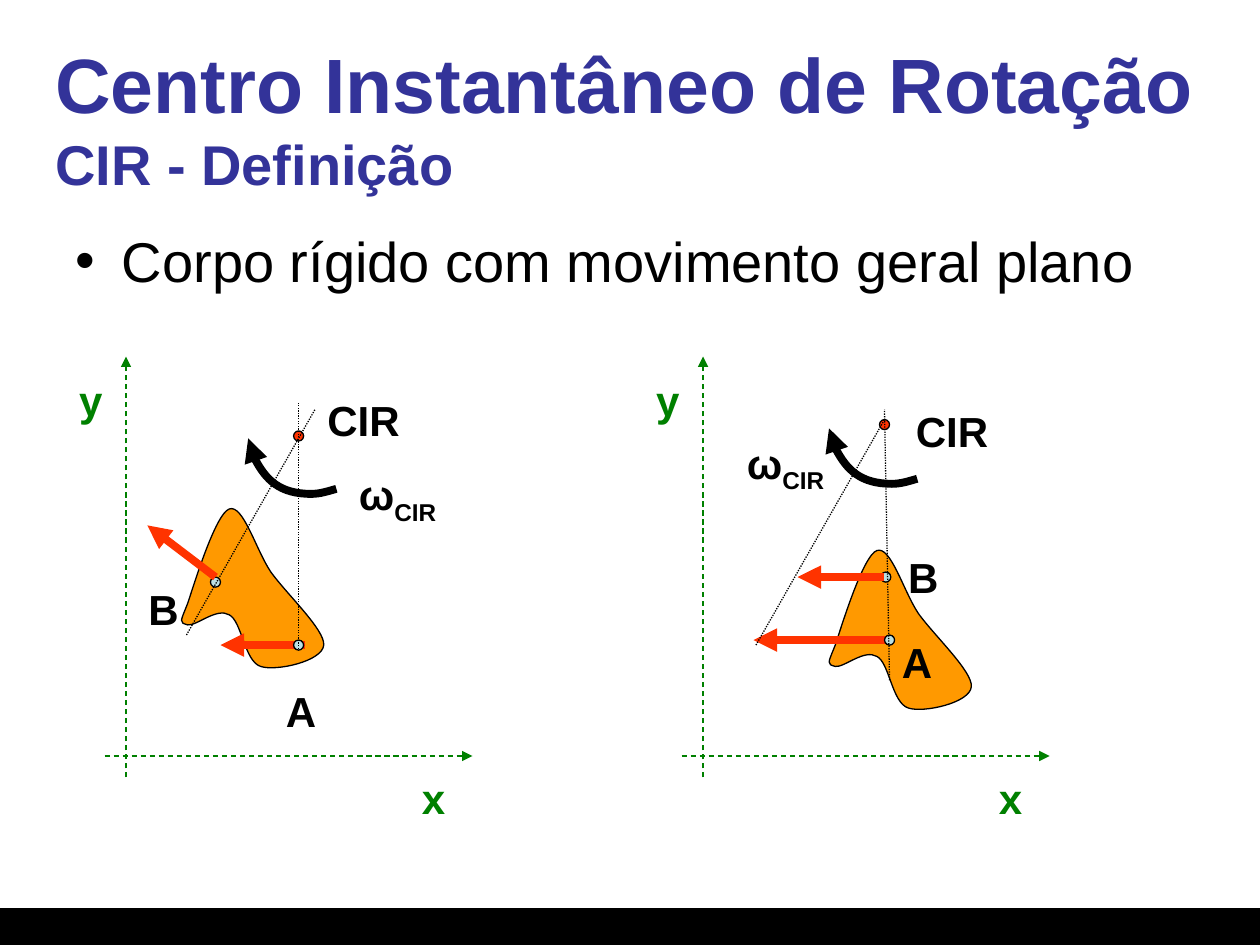
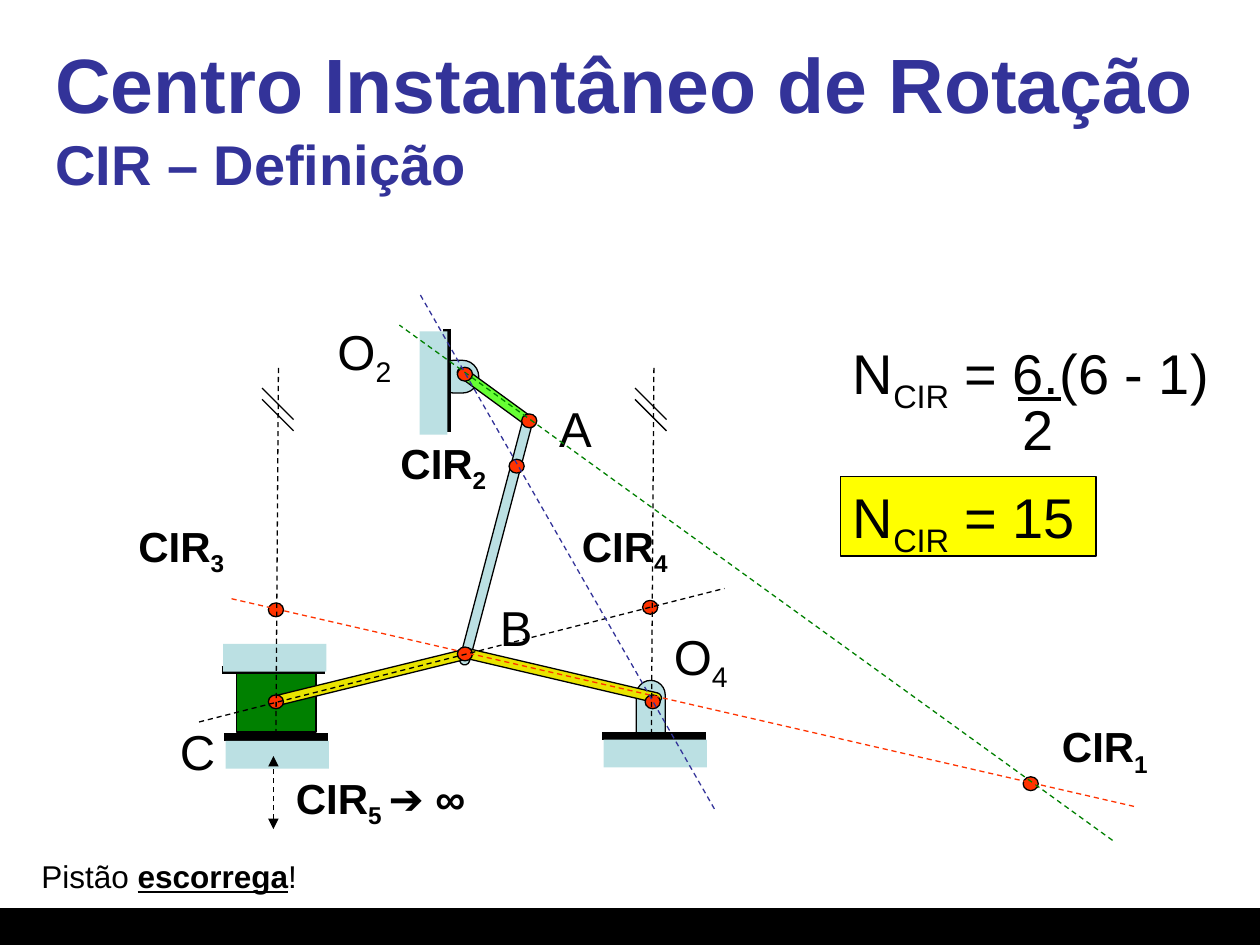
"""Builds two slides on the instantaneous centre of rotation."""
from lxml import etree
from pptx import Presentation, util as u
from pptx.dml.color import RGBColor
from pptx.enum import dml, shapes, text
from pptx.oxml.ns import qn

BLACK, WHITE, NAVY, GREEN = "000000", "FFFFFF", "333399", "008000"
RED, ORANGE, YELLOW = "FF3300", "FF9900", "FFFF00"
STEEL, LIME, GOLD = "BBE0E3", "66FF33", "E9E400"
DASH, DOTS = dml.MSO_LINE.DASH, dml.MSO_LINE.ROUND_DOT
RECT, PILL, OVAL = (shapes.MSO_SHAPE.RECTANGLE, shapes.MSO_SHAPE.ROUNDED_RECTANGLE,
                    shapes.MSO_SHAPE.OVAL)
COLUMNS, ROWS = 10, 7.5

BODY = [(1.49, 4.79), (1.54, 4.64), (1.71, 4.08), (1.82, 4.04), (1.93, 4), (2.03, 4.36),
        (2.15, 4.54), (2.28, 4.72), (2.58, 5), (2.57, 5.12), (2.56, 5.25), (2.19, 5.33),
        (2.07, 5.29), (1.94, 5.25), (1.92, 4.93), (1.82, 4.88), (1.72, 4.82), (1.56, 4.97),
        (1.49, 4.96), (1.42, 4.94), (1.43, 4.94), (1.49, 4.79)]
TURN = [(2.67, 3.88), (2.6, 3.9), (2.54, 3.92), (2.47, 3.92), (2.22, 3.92), (2.01, 3.73),
        (1.97, 3.48)]


def color(value):
    return RGBColor.from_string(value)


def set_all(target, formats):
    for name, value in formats.items():
        setattr(target, name, value)


def bend(shape):
    """Turn each three line segments of a freeform into one cubic curve."""
    for index, segment in enumerate(list(shape._element.iter(qn("a:lnTo")))):
        if index % 3 == 0:
            cubic = etree.Element(qn("a:cubicBezTo"))
            segment.addprevious(cubic)
        cubic.append(segment[0])
        segment.getparent().remove(segment)


class Board:
    """Holds the deck, its style and the current page."""

    def __init__(self):
        self.deck = Presentation()
        set_all(self.deck, {"slide_width": u.Inches(10), "slide_height": u.Inches(7.5)})
        self.column = self.deck.slide_width / COLUMNS
        self.row = self.deck.slide_height / ROWS

    def place(self, x, y):
        return round(x * self.column), round(y * self.row)

    def new_page(self, subtitle):
        self.page = self.deck.slides.add_slide(self.deck.slide_layouts[6])
        self.box(RECT, (0, 7.21, 10, 0.29), BLACK, BLACK)
        frame = self.text_frame((0.34, 0.3, 9.33, 1.25))
        set_all(frame, {"word_wrap": True, "vertical_anchor": text.MSO_ANCHOR.MIDDLE})
        para = frame.paragraphs[0]
        self.span(para, "Centro Instantâneo de Rotação", 44, NAVY, bold=True)
        para.add_line_break()
        self.span(para, subtitle, 32, NAVY, bold=True)

    def paint(self, shape, fill, edge, weight=0.75, heads=()):
        if fill:
            shape.fill.solid()
            shape.fill.fore_color.rgb = color(fill)
        else:
            shape.fill.background()
        if edge:
            self.stroke(shape.line, edge, weight, heads=heads)
        else:
            shape.line.fill.background()

    def stroke(self, line, edge, weight, dash=None, heads=()):
        line.color.rgb = color(edge)
        set_all(line, {"width": u.Pt(weight), "dash_style": dash})
        for end in heads:
            etree.SubElement(line._get_or_add_ln(), qn("a:" + end), type="triangle")

    def box(self, kind, at, fill, edge=None, turn=0):
        shape = self.page.shapes.add_shape(kind, *self.place(*at[:2]), *self.place(*at[2:]))
        shape.shadow.inherit = False
        shape.rotation = turn
        if kind == PILL:
            shape.adjustments[0] = 0.5
        self.paint(shape, fill, edge)

    def dot(self, x, y, fill=RED, width=0.12, height=0.11):
        self.box(OVAL, (x - width / 2, y - height / 2, width, height), fill, BLACK)

    def line(self, start, end, edge=BLACK, weight=0.75, dash=None, heads=()):
        joint = self.page.shapes.add_connector(
            shapes.MSO_CONNECTOR.STRAIGHT, *self.place(*start), *self.place(*end))
        self.stroke(joint.line, edge, weight, dash, heads)
        etree.SubElement(joint._element.spPr, qn("a:effectLst"))

    def curve(self, knots, shift, fill=None, weight=0.75, heads=()):
        points = [self.place(x + shift[0], y + shift[1]) for x, y in knots]
        builder = self.page.shapes.build_freeform(*points[0])
        builder.add_line_segments(points[1:], close=bool(fill))
        shape = builder.convert_to_shape()
        bend(shape)
        shape.shadow.inherit = False
        self.paint(shape, fill, BLACK, weight, heads)

    def text_frame(self, at, fill=None, edge=None):
        box = self.page.shapes.add_textbox(*self.place(*at[:2]), *self.place(*at[2:]))
        self.paint(box, fill, edge)
        return box.text_frame

    def span(self, para, words, size, ink=BLACK, **formats):
        span = para.add_run()
        span.text = words
        set_all(span.font, {"name": "Arial", "size": u.Pt(size), **formats})
        span.font.color.rgb = color(ink)
        return span

    def label(self, words, x, y, width, size=24, ink=BLACK, bold=False, fill=None,
              edge=None, marked=None):
        """Write one line; words between underscores are subscript or take the marked format."""
        frame = self.text_frame((x, y, width, size / 60 + 0.1), fill, edge)
        set_all(frame, {"word_wrap": False, "auto_size": text.MSO_AUTO_SIZE.SHAPE_TO_FIT_TEXT})
        for index, piece in enumerate(words.split("_")):
            if not piece:
                continue
            formats = {"bold": bold, **(marked or {})} if index % 2 else {"bold": bold}
            span = self.span(frame.paragraphs[0], piece, size, ink, **formats)
            if index % 2 and not marked:
                span._r.get_or_add_rPr().set("baseline", "-25000")

    def bullet(self, words, at, size=32):
        frame = self.text_frame(at)
        frame.word_wrap = True
        para = frame.paragraphs[0]
        para.space_before = u.Pt(size * 0.2)
        props = para._p.get_or_add_pPr()
        props.set("marL", str(u.Inches(0.37)))
        props.set("indent", str(u.Inches(-0.37)))
        etree.SubElement(props, qn("a:buFont"), typeface="Arial")
        etree.SubElement(props, qn("a:buChar"), char="•")
        self.span(para, words, size)


def draw_motion(board, left, centre, body, turn, points, tips, rays, labels):
    """Draw a moving body with its axes, velocities and centre."""
    arrow = ("tailEnd",)
    board.dot(*centre, RED, 0.08, 0.08)
    board.line((left + 1, 6.17), (left + 1, 2.83), GREEN, dash=DASH, heads=arrow)
    board.line((left + 0.83, 6), (left + 3.75, 6), GREEN, dash=DASH, heads=arrow)
    board.curve(BODY, body, ORANGE)
    (start_a, dot_a), (start_b, dot_b) = points
    board.line(start_a, tips[0], RED, 4.5, heads=arrow)
    board.dot(*dot_a, STEEL, 0.08, 0.08)
    board.dot(*dot_b, STEEL, 0.08, 0.08)
    board.line(start_b, tips[1], RED, 4.5, heads=arrow)
    for ray in rays:
        board.line(*ray, dash=DOTS)
    board.curve(TURN, turn, weight=4.5, heads=arrow)
    for (words, width), spot in zip(
            (("A", 0.44), ("B", 0.44), ("CIR", 0.78), ("ω_CIR_", 0.84)), labels):
        board.label(words, *spot, width, bold=True)
    board.label("x", left + 3.25, 6.08, 0.39, ink=GREEN, bold=True)
    board.label("y", left + 0.53, 2.92, 0.39, ink=GREEN, bold=True)


def motion_page(board):
    board.new_page("CIR - Definição")
    board.bullet("Corpo rígido com movimento geral plano", (0.5, 1.75, 8.83, 0.67))
    draw_motion(board, 0, (2.37, 3.46), (0, 0), (0, 0),
                points=(((2.42, 5.12), (2.37, 5.12)), ((1.71, 4.58), (1.71, 4.62))),
                tips=((1.75, 5.12), (1.17, 4.17)),
                rays=(((1.48, 5.04), (2.5, 3.25)), ((2.37, 5.15), (2.37, 3.19))),
                labels=((2.17, 5.39), (1.08, 4.58), (2.5, 3.08), (2.75, 3.67)))
    draw_motion(board, 4.58, (7.02, 3.37), (5.14, 0.33), (4.61, -0.08),
                points=(((7.04, 5.08), (7.06, 5.08)), ((7.02, 4.58), (7.03, 4.58))),
                tips=((5.98, 5.08), (6.33, 4.58)),
                rays=(((6, 5.12), (7.02, 3.33)), ((7.06, 5.4), (7.02, 3.25))),
                labels=((7.06, 5), (7.11, 4.33), (7.17, 3.17), (5.83, 3.42)))


def draw_ground(board, left, line_y, slab_y):
    board.line((left, line_y), (left + 0.82, line_y), weight=4.5)
    board.box(RECT, (left + 0.01, slab_y, 0.82, 0.22), STEEL)


def draw_linkage(board):
    """Draw the piston, supports, links and joints."""
    board.box(RECT, (1.88, 5.34, 0.63, 0.47), GREEN, BLACK)
    board.box(PILL, (3.47, 2.86, 0.33, 0.26), STEEL, BLACK)
    board.box(PILL, (3.9, 3.26, 0.08, 2.05), STEEL, BLACK, 14.8)
    board.box(PILL, (3.9, 2.78, 0.08, 0.75), LIME, BLACK, 306.1)
    board.line((3.55, 2.61), (3.55, 3.43), weight=4.5)
    board.box(RECT, (3.03, 2.93, 0.82, 0.22), STEEL, turn=90)
    board.box(PILL, (5.05, 5.4, 0.23, 0.65), STEEL, BLACK)
    board.dot(5.18, 5.55)
    draw_ground(board, 4.78, 5.84, 5.87)
    board.box(PILL, (4.41, 4.54, 0.08, 1.64), GOLD, BLACK, 283.2)
    board.label("O_2_", 2.58, 2.5, 0.65, 28, fill=WHITE)
    board.box(PILL, (2.89, 4.56, 0.08, 1.64), GOLD, BLACK, 76.2)
    for joint in ((3.69, 2.97), (5.18, 5.57), (3.69, 5.19), (4.2, 3.34), (2.19, 5.57)):
        board.dot(*joint)
    draw_ground(board, 1.78, 5.85, 5.88)
    draw_ground(board, 1.76, 5.32, 5.11)
    board.label("O_4_", 5.25, 4.92, 0.65, 28)
    board.label("A", 4.34, 3.11, 0.46, 28, fill=WHITE)
    board.label("B", 3.87, 4.69, 0.46, 28)
    board.label("C", 1.33, 5.68, 0.48, 28)


def linkage_page(board):
    board.new_page("CIR – Definição")
    draw_linkage(board)
    for centre in ((8.18, 6.22), (2.19, 4.84), (5.16, 4.82), (4.1, 3.7)):
        board.dot(*centre)
    for start, end, ink in (((8.83, 6.67), (3.17, 2.58), GREEN),
                            ((9, 6.4), (1.83, 4.75), RED),
                            ((2.21, 2.92), (2.19, 5.83), BLACK),
                            ((5.19, 2.92), (5.17, 5.83), BLACK),
                            ((1.58, 5.73), (5.75, 4.67), BLACK),
                            ((5.67, 6.42), (3.33, 2.33), NAVY)):
        board.line(start, end, ink, dash=DASH)
    for x in (2.08, 5.04):
        for y in (3.08, 3.17):
            board.line((x, y), (x + 0.25, y + 0.25))
    board.line((2.17, 6.58), (2.17, 6), dash=DASH, heads=("headEnd", "tailEnd"))
    for number, x, y in ((1, 8.33, 5.67), (2, 3.08, 3.42), (3, 1, 4.08), (4, 4.52, 4.08)):
        board.label(f"CIR_{number}_", x, y, 0.9, bold=True)
    board.label("CIR_5 _➔ ∞", 2.25, 6.08, 1.65, bold=True)
    board.label("N_CIR_ = 6.(6 - 1)", 6.67, 2.64, 3.08, 32)
    board.line((8.08, 3.17), (8.42, 3.17), weight=2.25)
    board.label("2", 8.02, 3.08, 0.45, 32)
    board.label("N_CIR_ = 15", 6.67, 3.78, 2.03, 32, fill=YELLOW, edge=BLACK)
    board.label("Pistão _escorrega_!", 0.23, 6.75, 2.3, 18,
                marked={"bold": True, "underline": True})


def main():
    board = Board()
    motion_page(board)
    linkage_page(board)
    board.deck.save("out.pptx")


if __name__ == "__main__":
    main()
